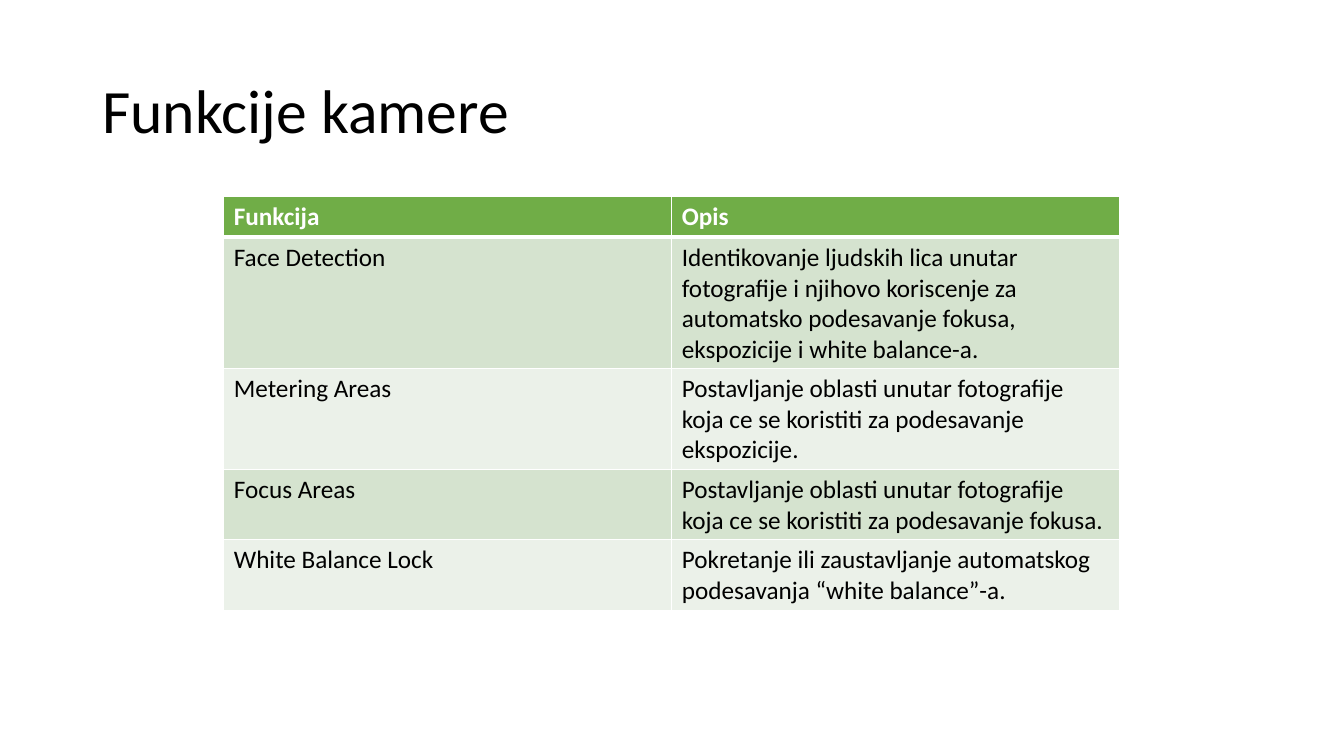
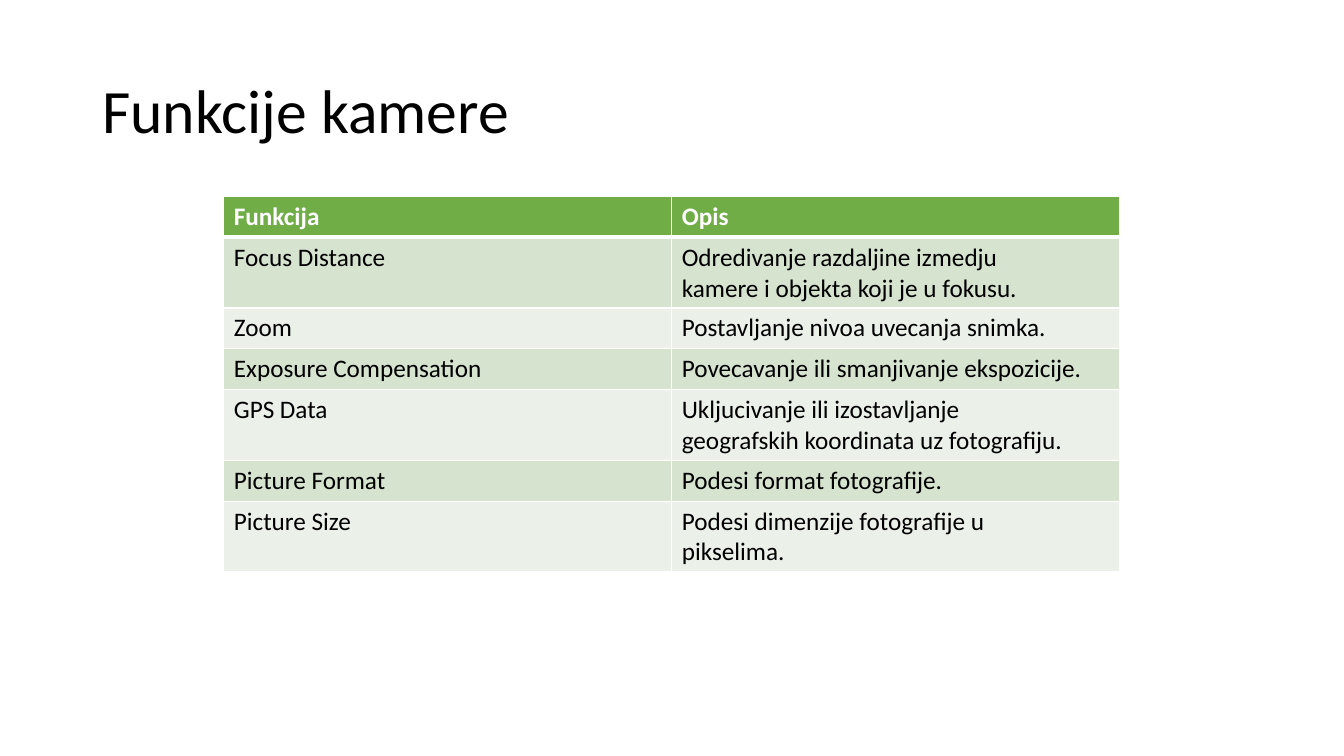
"""Builds two slides that list camera functions in tables."""

from dataclasses import dataclass

from lxml import etree
from pptx import Presentation
from pptx.dml.color import RGBColor
from pptx.enum.text import MSO_ANCHOR
from pptx.oxml.ns import qn
from pptx.slide import Slide
from pptx.table import _Cell
from pptx.text.text import TextFrame
from pptx.util import Cm, Pt

MIDDLE = MSO_ANCHOR.MIDDLE

WHITE = RGBColor(0xFF, 0xFF, 0xFF)
BLACK = RGBColor(0x00, 0x00, 0x00)
HEADER_GREEN = RGBColor(0x70, 0xAD, 0x47)
BAND_COLOURS = (RGBColor(0xD5, 0xE3, 0xCF), RGBColor(0xEB, 0xF1, 0xE9))

FONT = "Calibri"
TITLE_SIZE = Pt(44)
TABLE_SIZE = Pt(18)
THIN_LINE = Pt(1)
THICK_LINE = Pt(3)

SLIDE_WIDTH, SLIDE_HEIGHT = Cm(33.87), Cm(19.05)
TITLE_BOX = (Cm(2.33), Cm(1.01), Cm(29.21), Cm(3.68))
TABLE_LEFT, TABLE_TOP = Cm(5.64), Cm(4.95)
COLUMN_WIDTH, ROW_HEIGHT = Cm(11.29), Cm(1.03)
BLANK_LAYOUT = 6

TITLE = "Funkcije kamere"
HEADINGS = ("Funkcija", "Opis")


@dataclass(frozen=True)
class CameraFunction:
    name: str
    description: str


SLIDE_TABLES = (
    (
        CameraFunction(
            "Face Detection",
            "Identikovanje ljudskih lica unutar fotografije i njihovo koriscenje za "
            "automatsko podesavanje fokusa, ekspozicije i white balance-a.",
        ),
        CameraFunction(
            "Metering Areas",
            "Postavljanje oblasti unutar fotografije koja ce se koristiti za "
            "podesavanje ekspozicije.",
        ),
        CameraFunction(
            "Focus Areas",
            "Postavljanje oblasti unutar fotografije koja ce se koristiti za "
            "podesavanje fokusa.",
        ),
        CameraFunction(
            "White Balance Lock",
            "Pokretanje ili zaustavljanje automatskog podesavanja “white balance”-a.",
        ),
    ),
    (
        CameraFunction(
            "Focus Distance",
            "Odredivanje razdaljine izmedju\nkamere i objekta koji je u fokusu.",
        ),
        CameraFunction("Zoom", "Postavljanje nivoa uvecanja snimka."),
        CameraFunction("Exposure Compensation", "Povecavanje ili smanjivanje ekspozicije."),
        CameraFunction(
            "GPS Data",
            "Ukljucivanje ili izostavljanje\ngeografskih koordinata uz fotografiju.",
        ),
        CameraFunction("Picture Format", "Podesi format fotografije."),
        CameraFunction("Picture Size", "Podesi dimenzije fotografije u\npikselima."),
    ),
)


def write_text(
    text_frame: TextFrame, text: str, size: Pt, colour: RGBColor, bold: bool = False
) -> None:
    text_frame.text = text
    for paragraph in text_frame.paragraphs:
        for run in paragraph.runs:
            run.font.name = FONT
            run.font.size = size
            run.font.bold = bold
            run.font.color.rgb = colour


def add_borders(cell: _Cell, top: Pt, bottom: Pt) -> None:
    properties = cell._tc.get_or_add_tcPr()
    widths = {"a:lnL": THIN_LINE, "a:lnR": THIN_LINE, "a:lnT": top, "a:lnB": bottom}
    for tag, width in widths.items():
        line = etree.SubElement(properties, qn(tag), w=str(int(width)))
        fill = etree.SubElement(line, qn("a:solidFill"))
        etree.SubElement(fill, qn("a:srgbClr"), val=str(WHITE))


def add_title(slide: Slide) -> None:
    text_frame = slide.shapes.add_textbox(*TITLE_BOX).text_frame
    text_frame.word_wrap = True
    text_frame.vertical_anchor = MIDDLE
    write_text(text_frame, TITLE, TITLE_SIZE, BLACK)
    text_frame.paragraphs[0].line_spacing = 0.9


def add_function_table(slide: Slide, functions: tuple[CameraFunction, ...]) -> None:
    rows = [HEADINGS] + [(function.name, function.description) for function in functions]
    table = slide.shapes.add_table(
        len(rows),
        len(HEADINGS),
        TABLE_LEFT,
        TABLE_TOP,
        COLUMN_WIDTH * len(HEADINGS),
        ROW_HEIGHT * len(rows),
    ).table
    for row_index, texts in enumerate(rows):
        is_header = row_index == 0
        background = HEADER_GREEN if is_header else BAND_COLOURS[(row_index - 1) % 2]
        top = THICK_LINE if row_index == 1 else THIN_LINE
        bottom = THICK_LINE if is_header else THIN_LINE
        for column_index, text in enumerate(texts):
            cell = table.cell(row_index, column_index)
            add_borders(cell, top, bottom)
            cell.fill.solid()
            cell.fill.fore_color.rgb = background
            colour = WHITE if is_header else BLACK
            write_text(cell.text_frame, text, TABLE_SIZE, colour, is_header)


def main() -> None:
    presentation = Presentation()
    presentation.slide_width = SLIDE_WIDTH
    presentation.slide_height = SLIDE_HEIGHT
    for functions in SLIDE_TABLES:
        slide = presentation.slides.add_slide(presentation.slide_layouts[BLANK_LAYOUT])
        add_title(slide)
        add_function_table(slide, functions)
    presentation.save("out.pptx")


if __name__ == "__main__":
    main()
